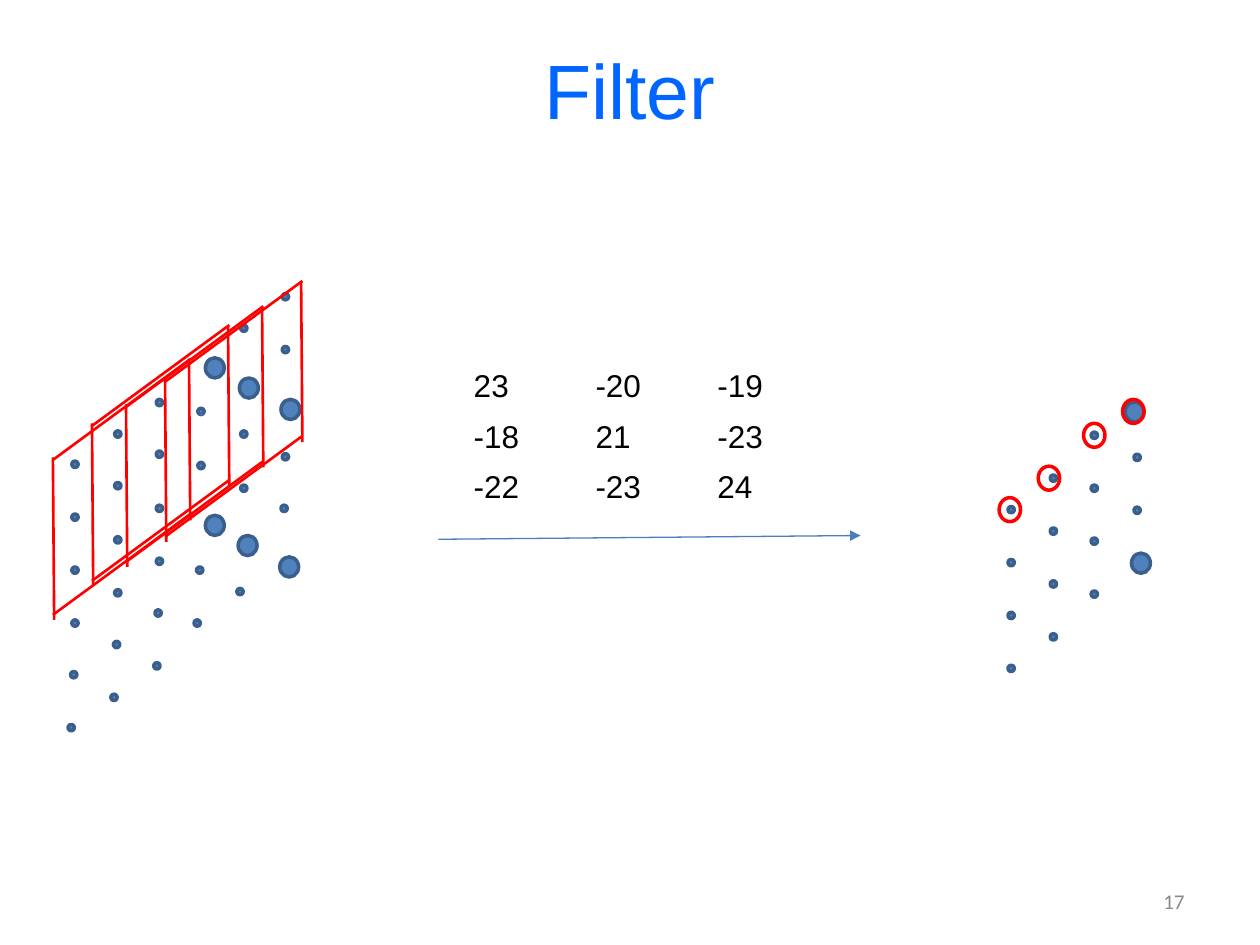
from lxml.etree import SubElement
from pptx import Presentation
from pptx.dml.color import RGBColor
from pptx.enum.shapes import MSO_CONNECTOR, MSO_SHAPE
from pptx.enum.text import MSO_ANCHOR, PP_ALIGN
from pptx.oxml.ns import qn
from pptx.util import Inches, Pt

TITLE = "Filter"
PAGE_NUMBER = "17"
KERNEL = [["23", "-20", "-19"], ["-18", "21", "-23"], ["-22", "-23", "24"]]

COLORS = {
    "title": "0066FF",
    "page": "898989",
    "text": "000000",
    "dot": "4F81BD",
    "dot_edge": "3A5F8C",
    "arrow": "4B7EBC",
    "window": "FF0000",
}

SMALL = (0.05, 0.05)
LARGE = (0.15, 0.16)
RING = (0.17, 0.19)

INPUT_SMALL = [
    (0.54, 5.75), (0.56, 5.33), (0.57, 4.92), (0.57, 4.5), (0.57, 4.08), (0.57, 3.66),
    (0.88, 5.51), (0.9, 5.09), (0.91, 4.68), (0.91, 4.26), (0.91, 3.83), (0.91, 3.42),
    (1.22, 5.26), (1.23, 4.84), (1.24, 4.43), (1.24, 4.01), (1.24, 3.58), (1.24, 3.17),
    (1.54, 4.92), (1.56, 4.5), (1.57, 3.67), (1.57, 3.24),
    (1.88, 4.67), (1.91, 3.85), (1.91, 3.42), (1.91, 2.58),
    (2.23, 4.01), (2.24, 3.6), (2.24, 2.75), (2.24, 2.33),
]
INPUT_LARGE = [(2.22, 4.42), (1.89, 4.25), (1.63, 4.09), (2.23, 3.17), (1.9, 3), (1.63, 2.84)]
INPUT_TICK = ((1.61, 3.29), (1.59, 3.29))

OUTPUT_PITCH = 0.42
OUTPUT_COLUMNS = [(8, 4.02, 4), (8.335, 3.77, 4), (8.66, 3.43, 4), (9, 3.605, 2)]
OUTPUT_LARGE = [(8.98, 4.39), (8.93, 3.19)]

WINDOW_EDGES = [
    ((1.09, 1.23), (0, 2.03)),
    ((1.09, 0), (0, 0.8)),
    ((0, 0.78), (0.01, 2.07)),
    ((1.08, 0.01), (1.09, 1.28)),
]
WINDOWS = [(0.42, 2.85), (0.73, 2.58), (1, 2.43), (1.31, 2.23)]
RINGS = [(7.93, 3.95), (8.24, 3.7), (8.6, 3.36), (8.91, 3.17)]
ARROW = ((3.48, 4.28), (6.83, 4.25))


def color(name):
    return RGBColor.from_string(COLORS[name])


def write(frame, text, size=18, font="Arial", ink="text", align=PP_ALIGN.LEFT):
    frame.word_wrap = True
    paragraph = frame.paragraphs[0]
    paragraph.alignment = align
    run = paragraph.add_run()
    run.text = text
    run.font.size = Pt(size)
    run.font.name = font
    run.font.color.rgb = color(ink)


def place(shape, left, top, width, height):
    shape.left, shape.top = Inches(left), Inches(top)
    shape.width, shape.height = Inches(width), Inches(height)


def add_ellipse(shapes, position, size, fill="dot", edge="dot_edge"):
    ellipse = shapes.add_shape(MSO_SHAPE.OVAL, *map(Inches, position + size))
    ellipse.shadow.inherit = False
    if fill:
        ellipse.fill.solid()
        ellipse.fill.fore_color.rgb = color(fill)
    else:
        ellipse.fill.background()
    ellipse.line.color.rgb = color(edge)
    ellipse.line.width = Pt(2)


def add_line(shapes, start, end, ink, width, arrow=False):
    line = shapes.add_connector(MSO_CONNECTOR.STRAIGHT, *map(Inches, start + end))
    line.line.color.rgb = color(ink)
    line.line.width = Pt(width)
    if arrow:
        SubElement(line.line._get_or_add_ln(), qn("a:tailEnd"), type="triangle")
    SubElement(line._element.spPr, qn("a:effectLst"))


def add_kernel(shapes):
    kernel = shapes.add_table(
        3, 3, Inches(3.66), Inches(2.88), Inches(2.9), Inches(1.02)
    ).table
    kernel.first_row = kernel.horz_banding = False
    for row, values in enumerate(KERNEL):
        for column, value in enumerate(values):
            cell = kernel.cell(row, column)
            cell.fill.background()
            write(cell.text_frame, value)


def main():
    deck = Presentation()
    deck.slide_width, deck.slide_height = Inches(10), Inches(7.5)
    slide = deck.slides.add_slide(deck.slide_layouts[5])
    shapes = slide.shapes

    title = shapes.title
    place(title, 0.5, 0.08, 9, 1.25)
    title.text_frame.vertical_anchor = MSO_ANCHOR.MIDDLE
    write(title.text_frame, TITLE, size=44, ink="title", align=PP_ALIGN.CENTER)

    page = shapes.add_textbox(Inches(7.17), Inches(6.95), Inches(2.33), Inches(0.4))
    page.text_frame.vertical_anchor = MSO_ANCHOR.MIDDLE
    write(page.text_frame, PAGE_NUMBER, size=12, font="Calibri", ink="page",
          align=PP_ALIGN.RIGHT)

    input_grid = shapes.add_group_shape().shapes
    for position in INPUT_SMALL:
        add_ellipse(input_grid, position, SMALL)
    add_line(input_grid, *INPUT_TICK, "arrow", 0.75)
    for position in INPUT_LARGE:
        add_ellipse(input_grid, position, LARGE)

    for left, top, count in OUTPUT_COLUMNS:
        for step in range(count):
            add_ellipse(shapes, (left, top + step * OUTPUT_PITCH), SMALL)
    for position in OUTPUT_LARGE:
        add_ellipse(shapes, position, LARGE)

    add_line(shapes, *ARROW, "arrow", 0.75, arrow=True)
    add_kernel(shapes)

    for (left, top), ring in zip(WINDOWS, RINGS):
        window = shapes.add_group_shape().shapes
        for edge in WINDOW_EDGES:
            start, end = [(left + x, top + y) for x, y in edge]
            add_line(window, start, end, "window", 1.5)
        add_ellipse(shapes, ring, RING, fill=None, edge="window")

    deck.save("out.pptx")


if __name__ == "__main__":
    main()
